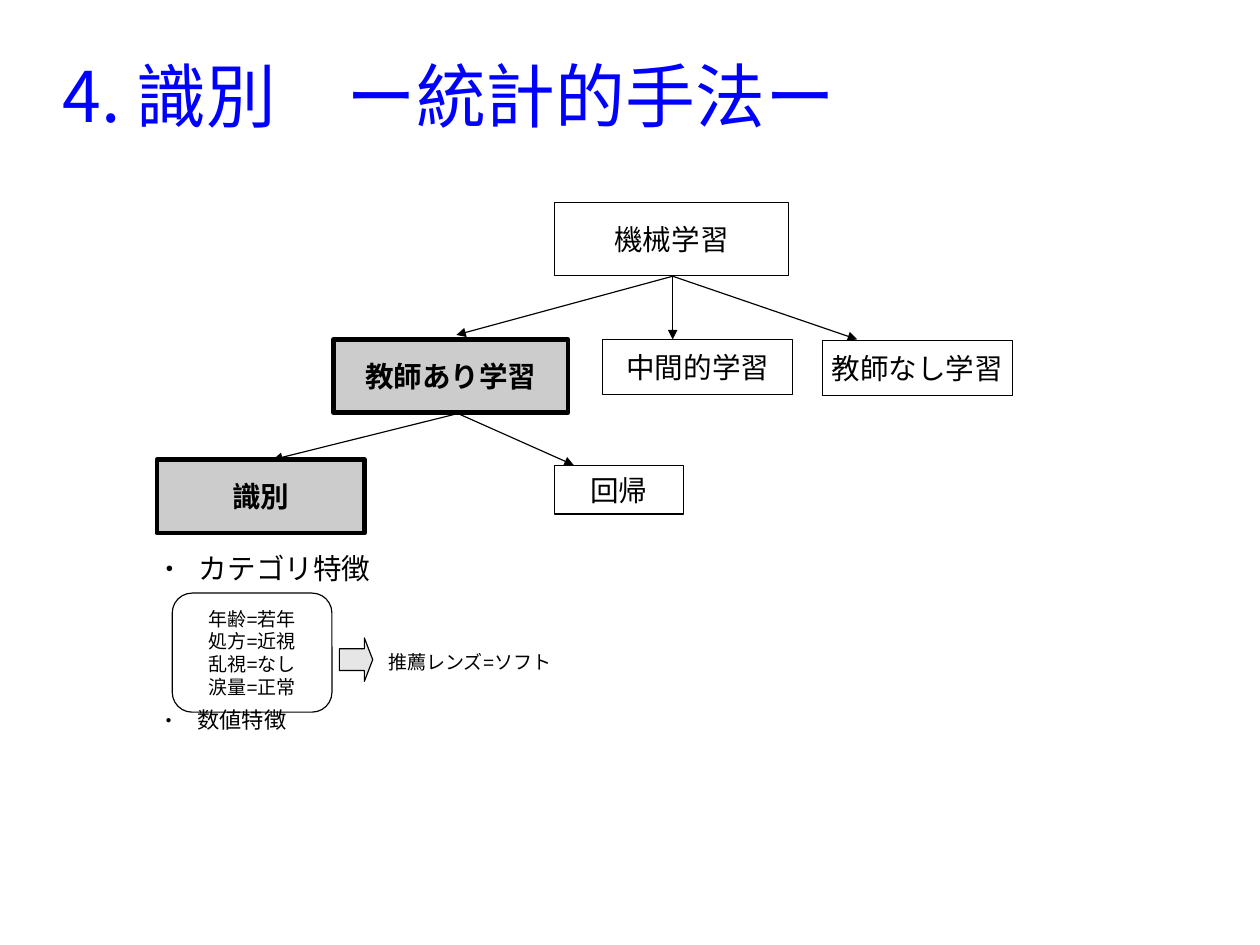
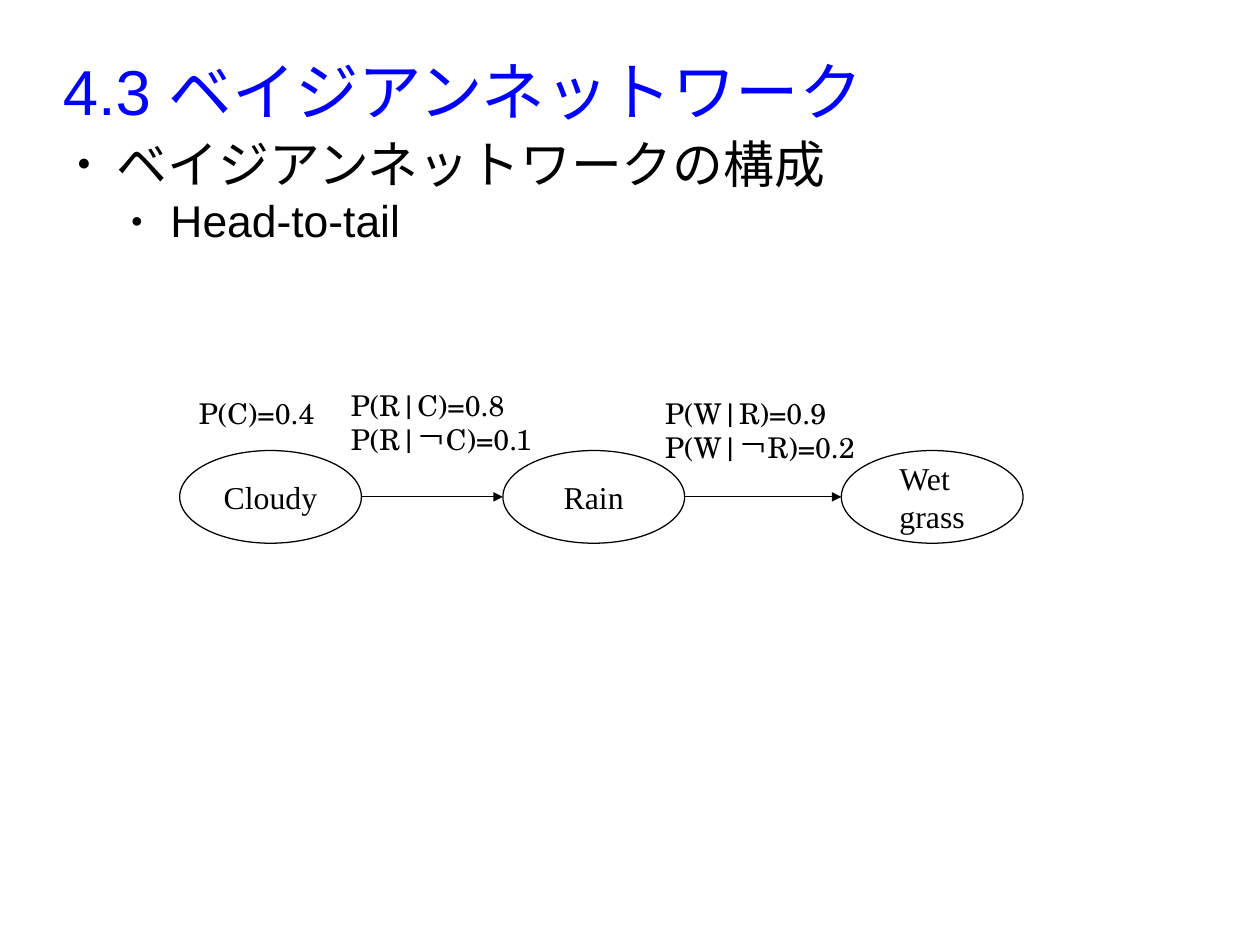
from itertools import pairwise

from lxml import etree
from pptx import Presentation
from pptx.dml.color import RGBColor
from pptx.enum import shapes, text
from pptx.oxml.ns import qn
from pptx.util import Pt

COLORS = {"title": "0000FF", "ink": "000000", "paper": "FFFFFF",
          "focus": "CCCCCC", "arrow": "E6E6E6"}
CJK, SANS, SERIF, MATH = ("Noto Sans CJK JP", "Arial",
                          "Times New Roman", "TeX Gyre Schola")
SHAPE = shapes.MSO_SHAPE
CENTER = text.PP_ALIGN.CENTER
MIDDLE = text.MSO_ANCHOR.MIDDLE
SMALL_PITCH = Pt(14.3)

# Boxes are (left, top, width, height) in points.
PAGE = {"slide_width": Pt(793.75), "slide_height": Pt(595.25)}
TITLES = [("4. 識別　ー統計的手法ー", 44, CJK, 71.5),
          ("4.3 ベイジアンネットワーク", 40, SANS, 66)]

LEARNING_TREE = [  # label, box, highlighted
    ("機械学習", (349.2, 127.5, 147.6, 46.2), False),
    ("教師あり学習", (210.2, 213.8, 147.6, 46.2), True),
    ("中間的学習", (379.8, 213.8, 119.5, 34.6), False),
    ("教師なし学習", (518.2, 214.4, 119.5, 34.6), False),
    ("識別", (98.8, 289.6, 131, 46.2), True),
    ("回帰", (349.2, 293, 81.2, 30.8), False),
]
BRANCHES = [  # parent point, child points
    ((423.8, 174), [(287.5, 211), (423.8, 213.8), (540, 213.8)]),
    ((288.5, 260.5), [(172, 289.5), (361.5, 293)]),
]
FEATURE_KINDS = [("カテゴリ特徴", 18, 21, 0),  # text, size, indent, before
                 ("数値特徴", 14, 20, 76.5)]
PATIENT = ["年齢=若年", "処方=近視", "乱視=なし", "涙量=正常"]
ADVICE = "推薦レンズ=ソフト"

OUTLINE = [("ベイジアンネットワークの構成", 32, 34),  # text, size, indent
           ("Head-to-tail", 28, 67.8)]
NETWORK = [("Cloudy", 113.2), ("Rain", 316.8), ("Wet grass", 530)]
NODE_TOP, NODE_W, NODE_H = 283.8, 114.5, 58.4
PROBABILITIES = [
    (["P(C)=0.4"], (118.2, 246, 100, 29)),
    (["P(R|C)=0.8", "P(R|￢C)=0.1"], (214, 240.6, 160, 55.5)),
    (["P(W|R)=0.9", "P(W|￢R)=0.2"], (412, 245.8, 160, 55.5)),
]


def rgb(name):
    return RGBColor.from_string(COLORS[name])


def set_all(target, values):
    for name, value in values.items():
        setattr(target, name, value)


def add_bullet(paragraph, indent, hanging):
    props = paragraph._p.get_or_add_pPr()
    props.set("marL", str(Pt(indent)))
    props.set("indent", str(-Pt(hanging)))
    etree.SubElement(props, qn("a:buSzPct"), val="45000")
    etree.SubElement(props, qn("a:buFont"), typeface=SANS)
    etree.SubElement(props, qn("a:buChar"), char="●")


def write(paragraph, words, size, font, color="ink", bold=False, **layout):
    set_all(paragraph, layout)
    run = paragraph.add_run()
    run.text = words
    set_all(run.font, {"size": Pt(size), "name": font, "bold": bold})
    run.font.color.rgb = rgb(color)
    etree.SubElement(run._r.get_or_add_rPr(), qn("a:ea"), typeface=CJK)


def paragraphs(frame, count):
    return [frame.paragraphs[0]] + [frame.add_paragraph() for _ in range(count - 1)]


def write_lines(frame, lines, size, font, **style):
    for paragraph, line in zip(paragraphs(frame, len(lines)), lines):
        write(paragraph, line, size, font, **style)


def add_text(slide, box, inset=True):
    frame = slide.shapes.add_textbox(*map(Pt, box)).text_frame
    frame.word_wrap = True
    if not inset:
        set_all(frame, dict.fromkeys(
            ("margin_left", "margin_top", "margin_right", "margin_bottom"), 0))
    return frame


def add_shape(slide, kind, box, fill=None, line=0, wrap=False):
    shape = slide.shapes.add_shape(kind, *map(Pt, box))
    shape.shadow.inherit = False
    if fill:
        shape.fill.solid()
        shape.fill.fore_color.rgb = rgb(fill)
    else:
        shape.fill.background()
    shape.line.color.rgb = rgb("ink")
    shape.line.width = Pt(line)
    set_all(shape.text_frame, {"word_wrap": wrap, "vertical_anchor": MIDDLE})
    return shape


def add_arrow(slide, start, end):
    arrow = slide.shapes.add_connector(
        shapes.MSO_CONNECTOR.STRAIGHT, *map(Pt, (*start, *end)))
    arrow.line.color.rgb = rgb("ink")
    arrow.line.width = Pt(0.75)
    etree.SubElement(arrow.line._get_or_add_ln(), qn("a:tailEnd"), type="triangle")
    etree.SubElement(arrow._element.spPr, qn("a:effectLst"))


def new_slide(deck, title, size, font, height):
    slide = deck.slides.add_slide(deck.slide_layouts[6])
    frame = add_text(slide, (39.6, 24, 714.2, height), inset=False)
    frame.vertical_anchor = MIDDLE
    write(frame.paragraphs[0], title, size, font, "title")
    return slide


def build_tree(slide):
    for parent, children in BRANCHES:
        for child in children:
            add_arrow(slide, parent, child)
    for label, box, focus in LEARNING_TREE:
        node = add_shape(slide, SHAPE.RECTANGLE, box,
                         "focus" if focus else "paper", 2.83 if focus else 0)
        write(node.text_frame.paragraphs[0], label, 18, CJK,
              bold=focus, alignment=CENTER)

    kinds = add_text(slide, (97.2, 343.5, 145, 147.6))
    for paragraph, (label, size, indent, before) in zip(
            paragraphs(kinds, len(FEATURE_KINDS)), FEATURE_KINDS):
        add_bullet(paragraph, indent, indent)
        write(paragraph, label, size, SANS, space_before=Pt(before))

    patient = add_shape(slide, SHAPE.ROUNDED_RECTANGLE, (108.5, 373.6, 100.6, 75))
    write_lines(patient.text_frame, PATIENT, 12, SANS,
                alignment=CENTER, line_spacing=SMALL_PITCH)
    implies = add_shape(slide, SHAPE.RIGHT_ARROW, (213.8, 401.8, 21, 27.4), "arrow")
    implies.adjustments[1] = 0.25
    write_lines(add_text(slide, (237.5, 406, 126, 54.6)), [ADVICE], 12, SANS,
                line_spacing=SMALL_PITCH)


def build_network(slide):
    outline = add_text(slide, (39.6, 83.5, 714.2, 380), inset=False)
    for paragraph, (words, size, indent) in zip(
            paragraphs(outline, len(OUTLINE)), OUTLINE):
        add_bullet(paragraph, indent, 25)
        write(paragraph, words, size, SANS)

    for lines, box in PROBABILITIES:
        write_lines(add_text(slide, box), lines, 18, MATH)
    middle = NODE_TOP + NODE_H / 2
    for (_, left), (_, following) in pairwise(NETWORK):
        add_arrow(slide, (left + NODE_W, middle), (following, middle))
    for label, left in NETWORK:
        node = add_shape(slide, SHAPE.OVAL, (left, NODE_TOP, NODE_W, NODE_H),
                         line=0.79, wrap=True)
        node.text_frame._txBody.bodyPr.set("anchorCtr", "1")
        write(node.text_frame.paragraphs[0], label, 20, SERIF,
              alignment=text.PP_ALIGN.LEFT)


def main():
    deck = Presentation()
    set_all(deck, PAGE)
    for title, build in zip(TITLES, (build_tree, build_network)):
        build(new_slide(deck, *title))
    deck.save("out.pptx")


if __name__ == "__main__":
    main()
